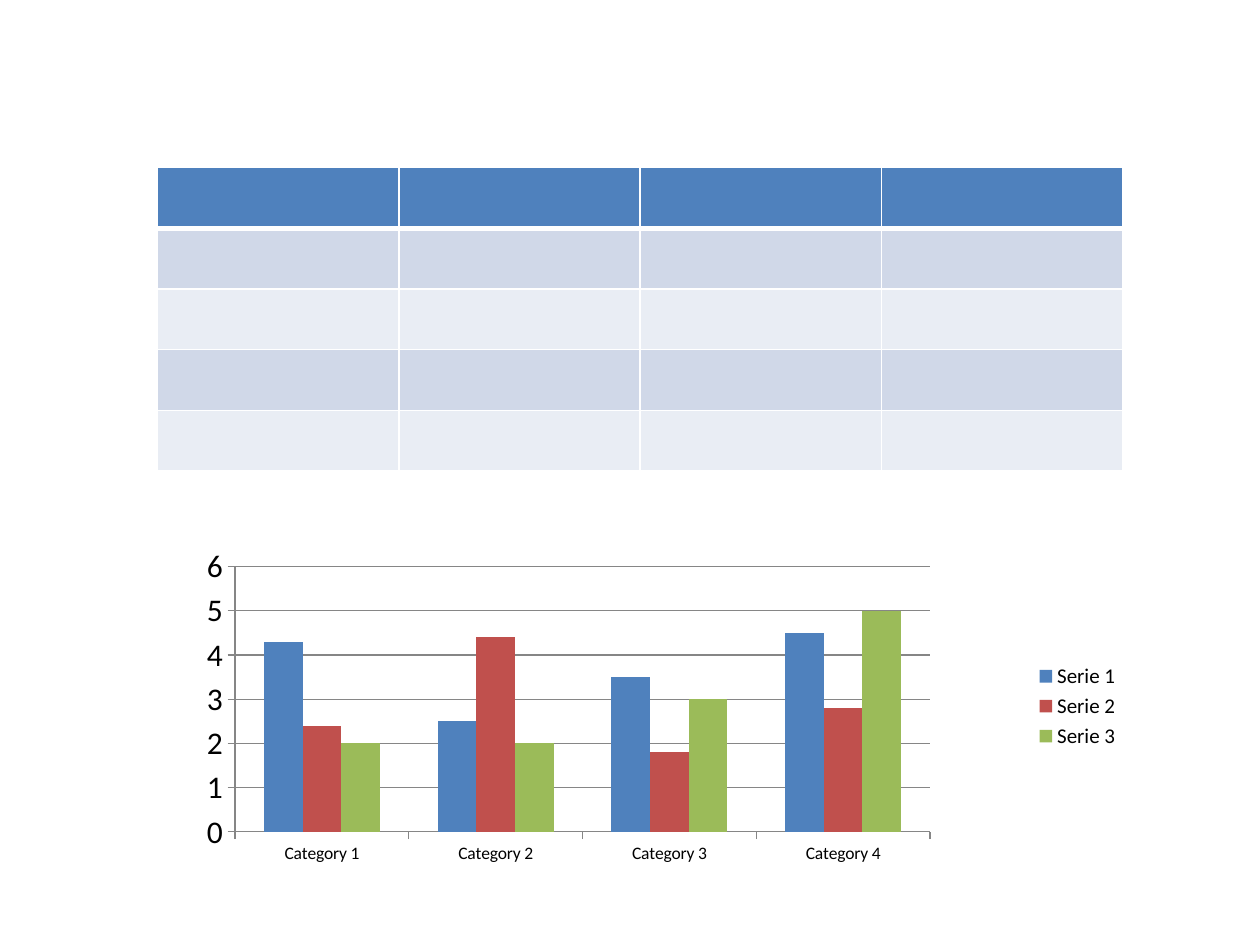
"""Build a slide with an empty banded table above a clustered column chart."""
import pptx
import pptx.chart.data
import pptx.dml.color
import pptx.enum.chart
import pptx.oxml
import pptx.oxml.ns
import pptx.util
from pptx.util import Inches

COLORS = {
    "blue": "4F81BD", "red": "C0504D", "green": "9BBB59",
    "dark_band": "D0D8E8", "light_band": "E9EDF4",
    "white": "FFFFFF", "black": "000000", "axis": "868686",
}


class SlideBuilder:
    font_name = "Calibri"

    def __init__(self, slide):
        self.slide = slide

    def color(self, name):
        return pptx.dml.color.RGBColor.from_string(COLORS[name])

    def style_font(self, font, size):
        font.name = self.font_name
        font.size = pptx.util.Pt(size)
        font.color.rgb = self.color("black")

    def style_line(self, line):
        line.color.rgb = self.color("axis")
        line.width = pptx.util.Pt(0.75)

    def add_borders(self, cell, bottom):
        properties = cell._tc.get_or_add_tcPr()
        widths = {"lnL": 1, "lnR": 1, "lnT": 1, "lnB": bottom}
        for index, (tag, points) in enumerate(widths.items()):
            properties.insert(index, pptx.oxml.parse_xml(
                f'<a:{tag} {pptx.oxml.ns.nsdecls("a")} w="{pptx.util.Pt(points)}">'
                f'<a:solidFill><a:srgbClr val="{COLORS["white"]}"/></a:solidFill></a:{tag}>'))

    def add_table(self, left, top, width, height, row_fills, column_count):
        table = self.slide.shapes.add_table(
            len(row_fills), column_count,
            Inches(left), Inches(top), Inches(width), Inches(height)).table
        for row, fill in zip(table.rows, row_fills):
            for cell in row.cells:
                cell.fill.solid()
                cell.fill.fore_color.rgb = self.color(fill)
                self.add_borders(cell, 3 if fill == "blue" else 1)
        for cell in table.rows[1].cells:
            cell._tc.tcPr.find(pptx.oxml.ns.qn("a:lnT")).set("w", str(pptx.util.Pt(3)))

    def set_plot_area(self, chart, x, y, width, height):
        plot_area = chart._chartSpace.chart.plotArea
        for layout in plot_area.findall(pptx.oxml.ns.qn("c:layout")):
            plot_area.remove(layout)
        values = {"layoutTarget": "inner", "xMode": "edge", "yMode": "edge",
                  "x": x, "y": y, "w": width, "h": height}
        items = "".join(f'<c:{tag} val="{value}"/>' for tag, value in values.items())
        plot_area.insert(0, pptx.oxml.parse_xml(
            f'<c:layout {pptx.oxml.ns.nsdecls("c")}>'
            f'<c:manualLayout>{items}</c:manualLayout></c:layout>'))

    def add_column_chart(self, left, top, width, height, categories, series_values, fills):
        data = pptx.chart.data.CategoryChartData()
        data.categories = categories
        for name, values in series_values.items():
            data.add_series(name, values)
        chart = self.slide.shapes.add_chart(
            pptx.enum.chart.XL_CHART_TYPE.COLUMN_CLUSTERED,
            Inches(left), Inches(top), Inches(width), Inches(height), data).chart
        chart.has_title = False
        self.style_font(chart.font, 18)
        chart.has_legend = True
        chart.legend.position = pptx.enum.chart.XL_LEGEND_POSITION.RIGHT
        chart.legend.include_in_layout = False
        self.style_font(chart.legend.font, 12)
        for axis, size in ((chart.category_axis, 10), (chart.value_axis, 18)):
            axis.major_tick_mark = pptx.enum.chart.XL_TICK_MARK.OUTSIDE
            self.style_font(axis.tick_labels.font, size)
            self.style_line(axis.format.line)
        chart.value_axis.minimum_scale = 0
        chart.value_axis.maximum_scale = 6
        chart.value_axis.major_unit = 1
        self.style_line(chart.value_axis.major_gridlines.format.line)
        plot = chart.plots[0]
        plot.vary_by_categories = False
        plot.gap_width = 150
        for series, fill in zip(plot.series, fills):
            series.format.fill.solid()
            series.format.fill.fore_color.rgb = self.color(fill)
        return chart


presentation = pptx.Presentation()
presentation.slide_width = Inches(10)
presentation.slide_height = Inches(7.5)
builder = SlideBuilder(presentation.slides.add_slide(presentation.slide_layouts[6]))

builder.add_table(1.25, 1.33, 7.66, 2.41,
                  ["blue"] + ["dark_band", "light_band"] * 2, 4)
chart = builder.add_column_chart(
    1.33, 4.22, 7.66, 2.77,
    [f"Category {number}" for number in range(1, 5)],
    {"Serie 1": (4.3, 2.5, 3.5, 4.5),
     "Serie 2": (2.4, 4.4, 1.8, 2.8),
     "Serie 3": (2, 2, 3, 5)},
    ["blue", "red", "green"])
builder.set_plot_area(chart, 0.07, 0.1, 0.72, 0.76)

presentation.save("out.pptx")
